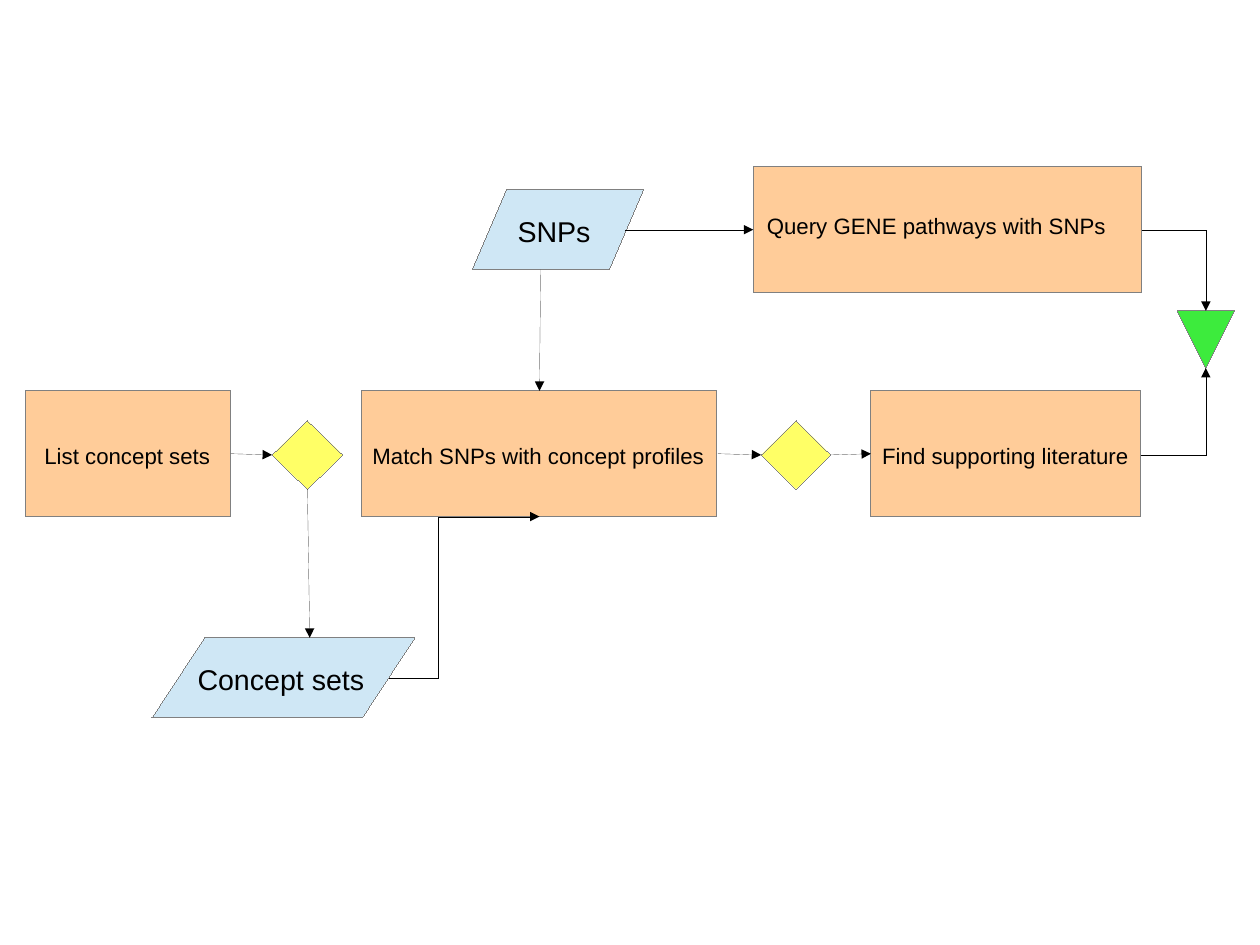
from lxml.etree import SubElement
from pptx import Presentation
from pptx.dml.color import RGBColor
from pptx.enum.shapes import MSO_CONNECTOR, MSO_SHAPE
from pptx.enum.text import MSO_AUTO_SIZE
from pptx.oxml.ns import qn
from pptx.util import Inches, Pt

COLORS = {
    "process": "FFCC99",
    "data": "CFE7F5",
    "decision": "FFFF66",
    "merge": "3DEB3D",
    "outline": "808080",
    "ink": "000000",
}
SHAPES = {
    "process": MSO_SHAPE.FLOWCHART_PROCESS,
    "data": MSO_SHAPE.FLOWCHART_DATA,
    "decision": MSO_SHAPE.FLOWCHART_DECISION,
    "merge": MSO_SHAPE.FLOWCHART_MERGE,
}


def set_hairline(part, color_name):
    part.line.color.rgb = RGBColor.from_string(COLORS[color_name])
    outline = part.line._get_or_add_ln()
    outline.set("w", "0")
    return outline


def add_arrow(slide, start, end, route=MSO_CONNECTOR.STRAIGHT):
    arrow = slide.shapes.add_connector(route, *map(Inches, start + end))
    SubElement(set_hairline(arrow, "ink"), qn("a:tailEnd"), type="triangle")
    SubElement(arrow._element.spPr, qn("a:effectLst"))
    return arrow


# Page of 28 by 21 centimetres
prs = Presentation()
prs.slide_width = Inches(28 / 2.54)
prs.slide_height = Inches(21 / 2.54)
slide = prs.slides.add_slide(prs.slide_layouts[6])

# Steps: kind, left, top, width, height
row_top, step_height, data_height = 3.42, 1.1, 0.7
for kind, *place in [
    ("data", 4.13, 1.66, 1.5, data_height),
    ("process", 3.16, row_top, 3.11, step_height),
    ("process", 0.22, row_top, 1.8, step_height),
    ("decision", 2.38, 3.68, 0.62, 0.6),
    ("decision", 6.66, 3.68, 0.61, 0.6),
    ("process", 7.62, row_top, 2.36, step_height),
    ("data", 1.33, 5.58, 2.3, data_height),
    ("process", 6.59, 1.46, 3.4, step_height),
    ("merge", 10.3, 2.72, 0.5, 0.5),
]:
    step = slide.shapes.add_shape(SHAPES[kind], *map(Inches, place))
    step.shadow.inherit = False
    step.fill.solid()
    step.fill.fore_color.rgb = RGBColor.from_string(COLORS[kind])
    set_hairline(step, "outline")

# Labels: wording, left, top, width, text size, wrapping
label_top = row_top + 0.4
for wording, left, top, width, size, wraps in [
    ("List concept sets", 0.29, label_top, 1.66, 14, False),
    ("Match SNPs with concept profiles", 3.16, label_top, 3.11, 14, True),
    ("Find supporting literature", 7.62, label_top, 2.36, 14, False),
    ("SNPs", 4.43, 1.82, 0.84, 18, False),
    ("Concept sets", 1.63, 5.74, 1.66, 18, False),
    ("Query GENE pathways with SNPs", 6.61, 1.81, 3.19, 14, True),
]:
    height = 0.32 if size == 14 else 0.38
    label = slide.shapes.add_textbox(*map(Inches, (left, top, width, height)))
    frame_format = {"word_wrap": wraps, "auto_size": MSO_AUTO_SIZE.SHAPE_TO_FIT_TEXT}
    for attribute, value in frame_format.items():
        setattr(label.text_frame, attribute, value)
    run = label.text_frame.paragraphs[0].add_run()
    run.text = wording
    run.font.color.rgb = RGBColor.from_string(COLORS["ink"])
    for attribute, value in {"name": "Arial", "size": Pt(size)}.items():
        setattr(run.font, attribute, value)

# Straight arrows between neighbouring steps
for start, end in [
    ((2.02, 3.97), (2.38, 3.98)),
    ((6.28, 3.97), (6.66, 3.98)),
    ((7.27, 3.98), (7.62, 3.97)),
    ((4.73, 2.36), (4.72, 3.42)),
    ((2.69, 4.28), (2.71, 5.58)),
    ((5.47, 2.01), (6.59, 2.01)),
]:
    add_arrow(slide, start, end)

# Concept sets feed the matching step from below
feed = add_arrow(slide, (3.4, 5.93), (4.72, 4.52), MSO_CONNECTOR.ELBOW)
bend = feed._element.spPr.find(qn("a:prstGeom")).get_or_add_avLst()
SubElement(bend, qn("a:gd"), name="adj1", fmla="val 32600")

# Both branches turn once into the merge
for start, end in [((9.99, 2.01), (10.55, 2.72)), ((9.98, 3.98), (10.55, 3.22))]:
    branch = add_arrow(slide, start, end, MSO_CONNECTOR.ELBOW)
    branch._element.spPr.find(qn("a:prstGeom")).set("prst", "bentConnector2")

prs.save("out.pptx")
